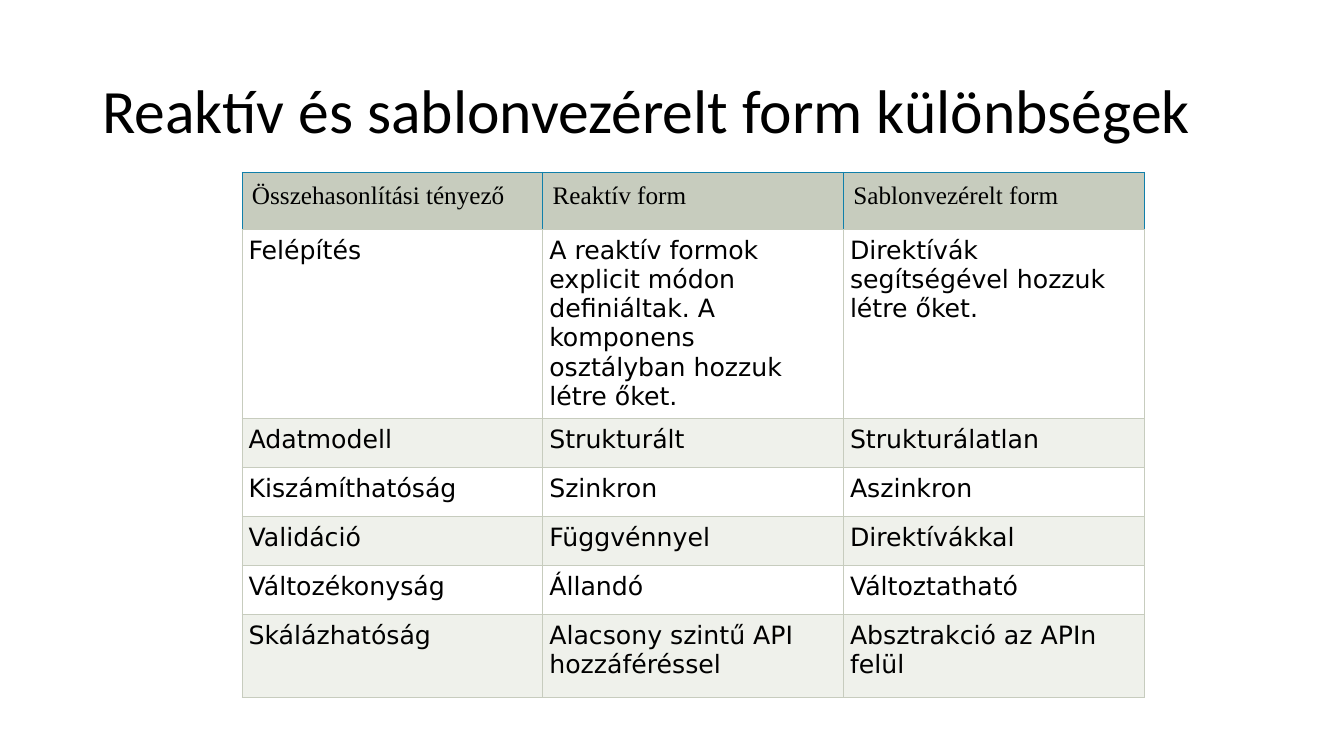
"""Build a slide comparing reactive and template-driven forms in a table."""
from lxml import etree
from pptx import Presentation
from pptx.dml.color import RGBColor
from pptx.enum.text import MSO_ANCHOR, MSO_AUTO_SIZE, PP_ALIGN
from pptx.oxml.ns import qn
from pptx.util import Pt

MIDDLE, TOP = MSO_ANCHOR.MIDDLE, MSO_ANCHOR.TOP
LEFT = PP_ALIGN.LEFT
NO_FIT = MSO_AUTO_SIZE.NONE
TITLE_ONLY = 5

COLORS = {"text": "000000", "header": "C7CCBE", "line": "C7CCBE",
          "header_line": "107FAA", "plain": "FFFFFF", "band": "EFF1EB"}
TITLE_FONT = {"name": "Calibri", "size": Pt(44), "bold": False}
HEADER_FONT = {"name": "Times New Roman", "size": Pt(18), "bold": False}
BODY_FONT = {"name": "DejaVu Sans", "size": Pt(18), "bold": False}

TITLE = "Reaktív és sablonvezérelt form különbségek"
ROWS = [
    ("Összehasonlítási tényező", "Reaktív form", "Sablonvezérelt form"),
    ("Felépítés",
     "A reaktív formok explicit módon definiáltak. "
     "A komponens osztályban hozzuk létre őket.",
     "Direktívák segítségével hozzuk létre őket."),
    ("Adatmodell", "Strukturált", "Strukturálatlan"),
    ("Kiszámíthatóság", "Szinkron", "Aszinkron"),
    ("Validáció", "Függvénnyel", "Direktívákkal"),
    ("Változékonyság", "Állandó", "Változtatható"),
    ("Skálázhatóság", "Alacsony szintű API hozzáféréssel",
     "Absztrakció az APIn felül"),
]
ROW_HEIGHTS = [40.5, 135, 35.1, 35.1, 35.1, 35.1, 59.4]
COLUMN_WIDTH = 214.8


def set_attributes(obj, values):
    """Set each named value on an object."""
    for name, value in values.items():
        setattr(obj, name, value)


def write(p, text, font):
    """Write one formatted run into a paragraph."""
    p.alignment = LEFT
    r = p.add_run()
    r.text = text
    set_attributes(r.font, font)
    r.font.color.rgb = RGBColor.from_string(COLORS["text"])


def add_title(s):
    """Place and fill the title placeholder."""
    sp = s.shapes.title
    set_attributes(sp, {"left": Pt(66), "top": Pt(28.8),
                        "width": Pt(828), "height": Pt(104.4)})
    tf = sp.text_frame
    set_attributes(tf, {"vertical_anchor": MIDDLE, "word_wrap": True,
                        "auto_size": NO_FIT})
    p = tf.paragraphs[0]
    p.line_spacing = 0.9
    write(p, TITLE, TITLE_FONT)


def set_borders(cell, colors):
    """Draw the left, right, top and bottom borders of a cell."""
    tc_pr = cell._tc.get_or_add_tcPr()
    for i, (side, color) in enumerate(zip("LRTB", colors)):
        ln = etree.Element(qn(f"a:ln{side}"), w=str(Pt(0.6)))
        fill = etree.SubElement(ln, qn("a:solidFill"))
        etree.SubElement(fill, qn("a:srgbClr"), val=COLORS[color])
        tc_pr.insert(i, ln)


def fill_cell(cell, text, row):
    """Format a cell by its row and write its text."""
    if row == 0:
        fill, font, inset = "header", HEADER_FONT, Pt(7.2)
        borders = ["header_line"] * 3 + ["line"]
    else:
        fill, font, inset = ("band", "plain")[row % 2], BODY_FONT, Pt(4.8)
        borders = ["line"] * 4
    sides = ("left", "right", "top", "bottom")
    set_attributes(cell, {f"margin_{side}": inset for side in sides})
    cell.vertical_anchor = TOP
    cell.fill.solid()
    cell.fill.fore_color.rgb = RGBColor.from_string(COLORS[fill])
    set_borders(cell, borders)
    write(cell.text_frame.paragraphs[0], text, font)


def add_comparison(s):
    """Add the comparison table."""
    columns = len(ROWS[0])
    table = s.shapes.add_table(
        len(ROWS), columns, Pt(172.8), Pt(123.1),
        Pt(COLUMN_WIDTH * columns), Pt(sum(ROW_HEIGHTS))).table
    for column in table.columns:
        column.width = Pt(COLUMN_WIDTH)
    for i, (texts, height) in enumerate(zip(ROWS, ROW_HEIGHTS)):
        table.rows[i].height = Pt(height)
        for j, text in enumerate(texts):
            fill_cell(table.cell(i, j), text, i)


def main():
    """Build and save the presentation."""
    prs = Presentation()
    set_attributes(prs, {"slide_width": Pt(960), "slide_height": Pt(540)})
    s = prs.slides.add_slide(prs.slide_layouts[TITLE_ONLY])
    add_title(s)
    add_comparison(s)
    prs.save("out.pptx")


if __name__ == "__main__":
    main()
